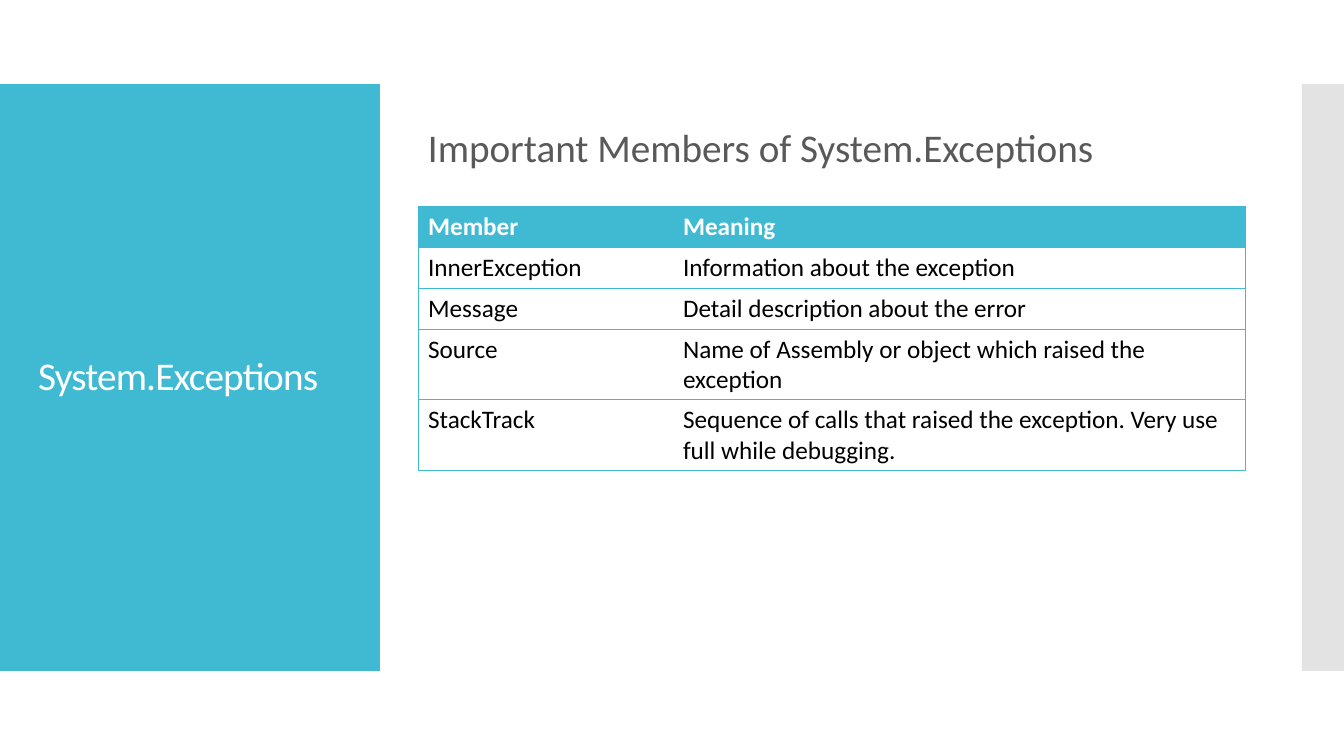
from lxml import etree
from pptx import Presentation
from pptx.dml.color import RGBColor
from pptx.enum.shapes import MSO_SHAPE
from pptx.enum.text import MSO_ANCHOR, MSO_AUTO_SIZE, PP_ALIGN
from pptx.oxml.ns import qn
from pptx.util import Emu, Pt

RECTANGLE = MSO_SHAPE.RECTANGLE
TOP, MIDDLE = MSO_ANCHOR.TOP, MSO_ANCHOR.MIDDLE
NO_FIT, GROW = MSO_AUTO_SIZE.NONE, MSO_AUTO_SIZE.SHAPE_TO_FIT_TEXT
LEFT = PP_ALIGN.LEFT
PIXEL = 914400 / 100.8
FONT = "Calibri"
COLORS = {"accent": "40BAD2", "edge": "C8C8C8", "heading": "595959",
          "white": "FFFFFF", "black": "000000"}


def px(length):
    return Emu(round(length * PIXEL))


def write(frame, text, size=18, color="black", bold=False, line=None,
          before=None, tracking=None):
    para = frame.paragraphs[0]
    para.alignment = LEFT
    if line is not None:
        para.line_spacing = line
    if before is not None:
        para.space_before = Pt(before)
    span = para.add_run()
    span.text = text
    span.font.name = FONT
    span.font.size = Pt(size)
    span.font.bold = bold
    span.font.color.rgb = RGBColor.from_string(COLORS[color])
    if tracking is not None:
        span._r.get_or_add_rPr().set("spc", str(round(tracking * 100)))


class SlideBuilder:
    def __init__(self, deck):
        self.page = deck.slides.add_slide(deck.slide_layouts[5])

    def panel(self, x, y, width, height, color, opacity=100):
        box = self.page.shapes.add_shape(RECTANGLE, px(x), px(y), px(width), px(height))
        box.shadow.inherit = False
        box.line.fill.background()
        box.fill.solid()
        box.fill.fore_color.rgb = RGBColor.from_string(COLORS[color])
        if opacity < 100:
            tint = box._element.spPr.find(".//" + qn("a:srgbClr"))
            etree.SubElement(tint, qn("a:alpha")).set("val", str(opacity * 1000))

    def title(self, text, x, y, width, height, **style):
        box = self.page.shapes.title
        box.left, box.top, box.width, box.height = px(x), px(y), px(width), px(height)
        # Bring the title in front of the panels
        self.page.shapes._spTree.append(box._element)
        self.fit(box.text_frame, MIDDLE, NO_FIT)
        write(box.text_frame, text, **style)

    def text(self, text, x, y, width, height, **style):
        box = self.page.shapes.add_textbox(px(x), px(y), px(width), px(height))
        self.fit(box.text_frame, TOP, GROW)
        write(box.text_frame, text, **style)

    def fit(self, frame, anchor, auto_size):
        frame.word_wrap = True
        frame.auto_size = auto_size
        frame.vertical_anchor = anchor

    def table(self, rows, x, y, widths, heights, color):
        holder = self.page.shapes.add_table(
            len(rows), len(widths), px(x), px(y), px(sum(widths)), px(sum(heights)))
        table = holder.table
        table.horz_banding = False
        for column, width in zip(table.columns, widths):
            column.width = px(width)
        for row, height in zip(table.rows, heights):
            row.height = px(height)
        for r, texts in enumerate(rows):
            header = r == 0
            for c, text in enumerate(texts):
                cell = table.cell(r, c)
                if header:
                    cell.fill.solid()
                    cell.fill.fore_color.rgb = RGBColor.from_string(COLORS[color])
                else:
                    cell.fill.background()
                write(cell.text_frame, text, bold=header,
                      color="white" if header else "black")
                self.borders(cell, color, left=c == 0, right=c == len(widths) - 1)

    def borders(self, cell, color, left, right):
        sides = {"a:lnL": left, "a:lnR": right, "a:lnT": True, "a:lnB": True}
        properties = cell._tc.get_or_add_tcPr()
        for index, (side, visible) in enumerate(sides.items()):
            line = etree.Element(qn(side), w=str(Pt(0.75)))
            if visible:
                fill = etree.SubElement(line, qn("a:solidFill"))
                etree.SubElement(fill, qn("a:srgbClr")).set("val", COLORS[color])
            else:
                etree.SubElement(line, qn("a:noFill"))
            properties.insert(index, line)


deck = Presentation()
deck.slide_width, deck.slide_height = px(1344), px(756)
slide = SlideBuilder(deck)

# Side panels
slide.panel(0, 84, 380, 587, "accent")
slide.panel(1302, 84, 42, 587, "edge", opacity=50)

# Title and heading
slide.title("System.Exceptions", 28, 124, 325, 507,
            size=28, color="white", line=0.9, tracking=-0.6)
slide.text("Important Members of System.Exceptions", 418, 124, 797, 101,
           size=28, color="heading", line=0.9, before=12)

# Members table
MEMBERS = [
    ("Member", "Meaning"),
    ("InnerException", "Information about the exception"),
    ("Message", "Detail description about the error"),
    ("Source", "Name of Assembly or object which raised the exception"),
    ("StackTrack", "Sequence of calls that raised the exception. "
                   "Very use full while debugging."),
]
slide.table(MEMBERS, 418, 206, (255, 573), (41, 41, 41, 70, 70), "accent")

deck.save("out.pptx")
